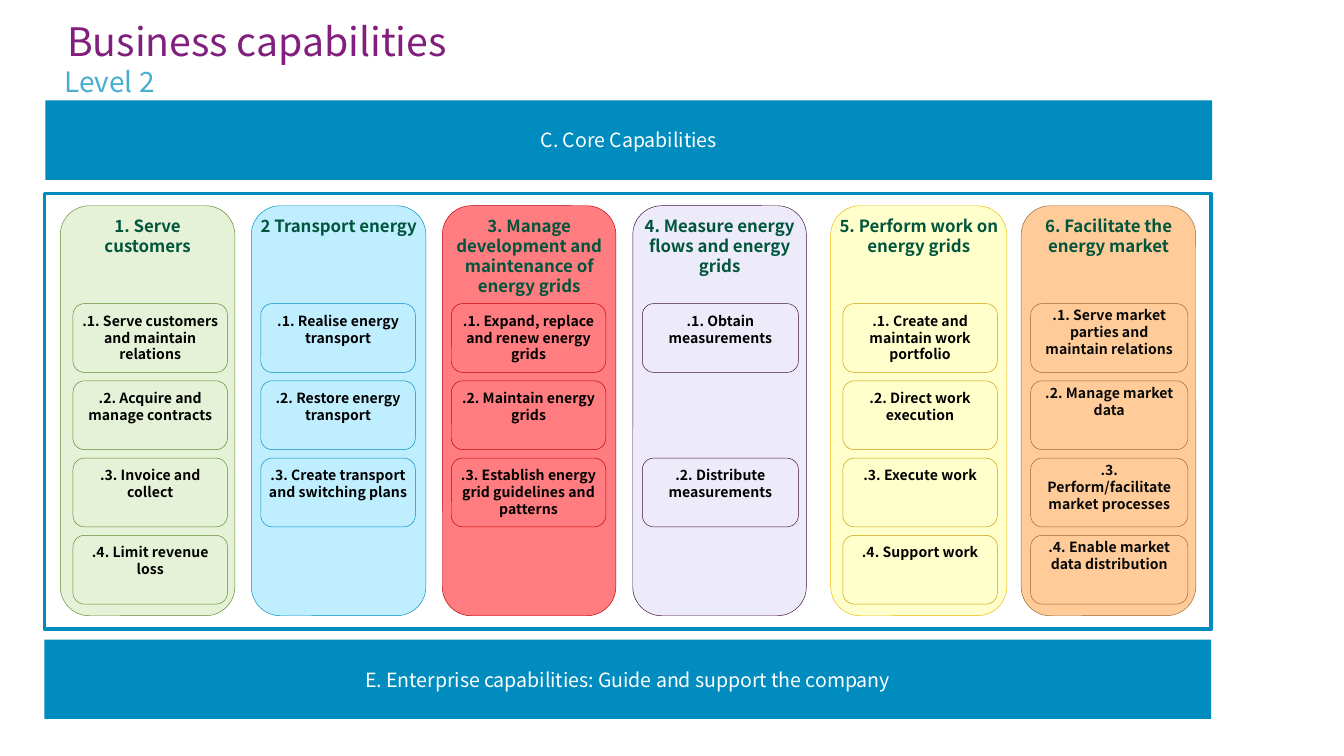
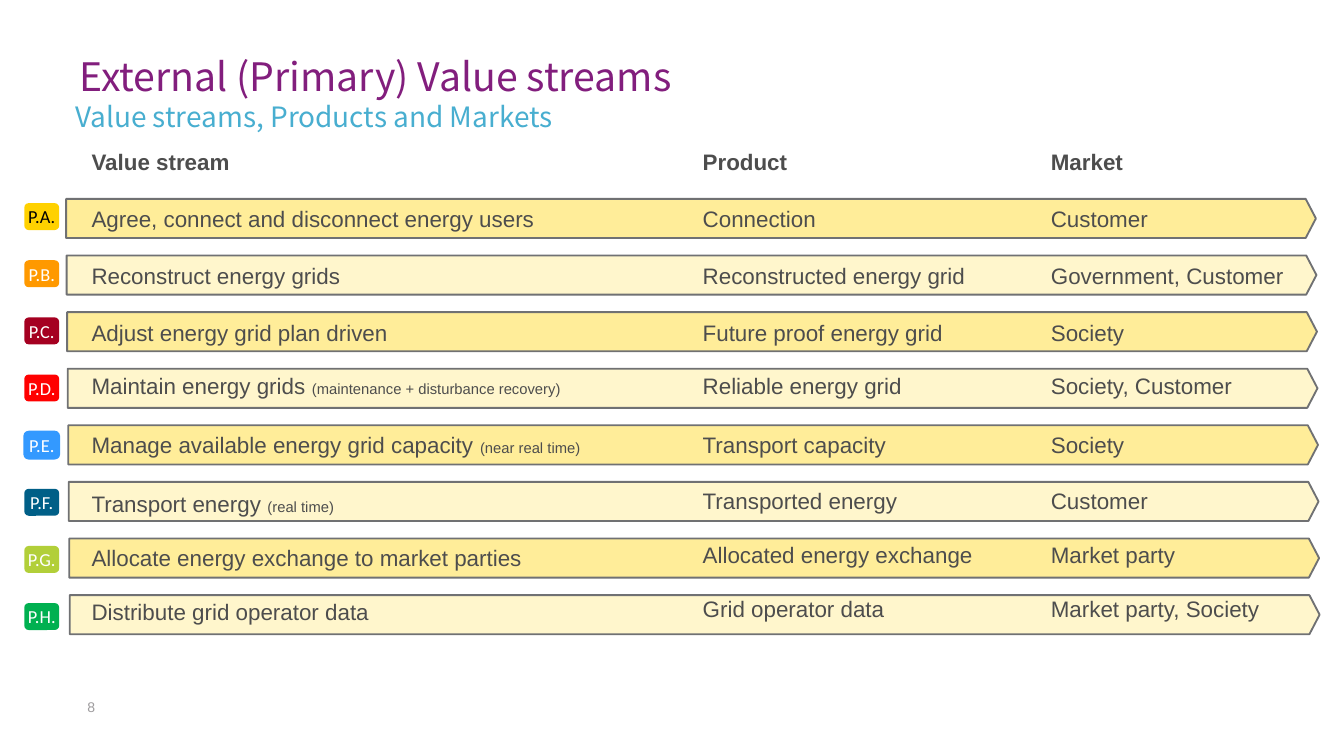
from lxml import etree
from pptx import Presentation
from pptx.dml.color import RGBColor
from pptx.enum import shapes as sh, text as tx
from pptx.oxml.ns import qn
from pptx.util import Cm, Pt

# Shared look
PURPLE = RGBColor(0x82, 0x1E, 0x7D)
SKY = RGBColor(0x48, 0xAE, 0xD0)
BLUE = RGBColor(0x00, 0x8C, 0xBE)
WHITE = RGBColor(0xFF, 0xFF, 0xFF)
BLACK = RGBColor(0, 0, 0)
SOFT_BLACK = RGBColor(0x08, 0x08, 0x08)
GREEN_TEXT = RGBColor(0x00, 0x55, 0x3C)
GREY_TEXT = RGBColor(0x4D, 0x4D, 0x4D)
GREY_LINE = RGBColor(0x70, 0x71, 0x73)
PAGE_GREY = RGBColor(0x9E, 0x9C, 0x9E)
LEAF, LEAF_LINE = RGBColor(0xE5, 0xF2, 0xD7), RGBColor(0x5E, 0x87, 0x2D)
ICE = RGBColor(0xBF, 0xEE, 0xFF)
CORAL, CORAL_LINE = RGBColor(0xFF, 0x7C, 0x80), RGBColor(0xC0, 0x00, 0x00)
LILAC, LILAC_LINE = RGBColor(0xED, 0xEB, 0xF9), RGBColor(0x41, 0x0F, 0x3E)
LEMON, LEMON_LINE = RGBColor(0xFF, 0xFF, 0xCC), RGBColor(0xF2, 0xB8, 0x00)
OCHRE = RGBColor(0xCC, 0x99, 0x00)
PEACH, PEACH_LINE = RGBColor(0xFF, 0xCC, 0x99), RGBColor(0x99, 0x66, 0x33)
STREAM_FILLS = RGBColor(0xFF, 0xED, 0x99), RGBColor(0xFF, 0xF6, 0xCC)

SANS, ARIAL = "Noto Sans CJK TC", "Arial"
TITLE = dict(name=SANS, size=Pt(21), bold=False, color=PURPLE)
SUBTITLE = dict(name=SANS, size=Pt(15), bold=False, color=SKY)
BAND = dict(name=SANS, size=Pt(10.5), color=WHITE)
HEADING = dict(name=SANS, size=Pt(9), bold=True, color=GREEN_TEXT)
CAPABILITY = dict(name=SANS, size=Pt(7.5), bold=True, color=BLACK)
BADGE = dict(name="Calibri", size=Pt(9.8), color=WHITE)
CELL = dict(name=ARIAL, size=Pt(12), bold=False, color=GREY_TEXT)
NOTE = {**CELL, "size": Pt(7.9)}
PAGE = dict(name=ARIAL, size=Pt(7.5), color=PAGE_GREY)

# Slide 1 content; first_side, side and top are text insets in cm
BANDS = [("C. Core Capabilities", 0.86, 1.9),
         ("E. Enterprise capabilities: Guide and support the company", 0.84, 12.09)]
CAPABILITIES = [
    dict(heading=["1. Serve", "customers"], left=1.14, width=3.3, box_left=1.38, box_width=2.92,
         fill=LEAF, line=LEAF_LINE, first_side=0, side=0.18,
         boxes=[".1. Serve customers and maintain relations", ".2. Acquire and manage contracts",
                ".3. Invoice and collect", ".4. Limit revenue loss"]),
    dict(heading=["2 Transport energy"], left=4.75, width=3.3, box_left=4.93, box_width=2.92,
         fill=ICE, line=BLUE,
         boxes=[".1. Realise energy transport", ".2. Restore energy transport",
                ".3. Create transport and switching plans"]),
    dict(heading=["3. Manage development and maintenance of energy grids"],
         left=8.36, width=3.28, box_left=8.53, box_width=2.92, fill=CORAL, line=CORAL_LINE,
         boxes=[".1. Expand, replace and renew energy grids", ".2. Maintain energy grids",
                ".3. Establish energy grid guidelines and patterns"]),
    dict(heading=["4. Measure energy flows and energy grids"],
         left=11.96, width=3.28, box_left=12.14, box_width=2.95, fill=LILAC, line=LILAC_LINE,
         boxes=[".1. Obtain measurements", None, ".2. Distribute measurements"]),
    dict(heading=["5. Perform work on", "energy grids"], left=15.7, width=3.33,
         box_left=15.93, box_width=2.92, fill=LEMON, line=LEMON_LINE, box_line=OCHRE,
         first_side=0.08, side=0.18, wrap=False,
         boxes=[".1. Create and maintain work portfolio", ".2. Direct work execution",
                ".3. Execute work", ".4. Support work"]),
    dict(heading=["6. Facilitate the energy market"], left=19.3, width=3.3,
         box_left=19.48, box_width=2.97, fill=PEACH, line=PEACH_LINE, box_fill=None,
         box_text=SOFT_BLACK, first_side=0.18, side=0.18, top=0,
         boxes=[".1. Serve market parties and maintain relations", ".2. Manage market data",
                ".3. Perform/facilitate market processes", ".4. Enable market data distribution"]),
]

# Slide 2 content: badge, badge colour, stream, note, product, market
STREAMS = [
    ("P.A.", RGBColor(0xFF, 0xD1, 0x00), "Agree, connect and disconnect energy users", "",
     "Connection", "Customer"),
    ("P.B.", RGBColor(0xFF, 0x99, 0x00), "Reconstruct energy grids", "",
     "Reconstructed energy grid", "Government, Customer"),
    ("P.C.", RGBColor(0xA5, 0x00, 0x21), "Adjust energy grid plan driven", "",
     "Future proof energy grid", "Society"),
    ("P.D.", RGBColor(0xFF, 0x00, 0x00), "Maintain energy grids ",
     "(maintenance + disturbance recovery)", "Reliable energy grid", "Society, Customer"),
    ("P.E.", RGBColor(0x33, 0x99, 0xFF), "Manage available energy grid capacity ",
     "(near real time)", "Transport capacity", "Society"),
    ("P.F.", RGBColor(0x00, 0x5F, 0x87), "Transport energy ", "(real time)",
     "Transported energy", "Customer"),
    ("P.G.", RGBColor(0xB2, 0xCF, 0x39), "Allocate energy exchange to market parties", "",
     "Allocated energy exchange", "Market party"),
    ("P.H.", RGBColor(0x00, 0xB0, 0x50), "Distribute grid operator data", "",
     "Grid operator data", "Market party, Society"),
]
# Points before and after each line, header first
SPACING = [(4.5, 4.5)] * 3 + [(4.5, 2)] * 2 + [(8, 4.5), (4, 4.5)] + [(3, 4.5)] * 2
STREAM_SPACING = SPACING[:5] + [(8, 2), (8, 4.5)] + SPACING[7:]


def write(shape, lines, style, insets=(0, 0, 0, 0), wrap=True,
          anchor=tx.MSO_ANCHOR.TOP, **paragraph_format):
    """Fill a shape; each line is a string or a list of (text, style) runs."""
    frame = shape.text_frame
    sides = ("margin_left", "margin_top", "margin_right", "margin_bottom")
    settings = dict(zip(sides, map(Cm, insets)), word_wrap=wrap, vertical_anchor=anchor,
                    auto_size=tx.MSO_AUTO_SIZE.NONE)
    for key, value in settings.items():
        setattr(frame, key, value)
    for i, line in enumerate(lines):
        paragraph = frame.add_paragraph() if i else frame.paragraphs[0]
        for key, value in paragraph_format.items():
            setattr(paragraph, key, value)
        for words, run_style in [(line, style)] if isinstance(line, str) else line:
            run = paragraph.add_run()
            run.text = words
            for key, value in run_style.items():
                if key == "color":
                    run.font.color.rgb = value
                else:
                    setattr(run.font, key, value)
    return frame


def place(slide, idx, left, top, width, height):
    """Move a placeholder and bring it to the front."""
    holder = slide.placeholders[idx]
    for key, value in dict(left=left, top=top, width=width, height=height).items():
        setattr(holder, key, Cm(value))
    slide.shapes.element.append(holder.element)
    return holder


def plain_list(frame):
    """Drop the bullets and hanging indents of a body placeholder."""
    for paragraph in frame.paragraphs:
        properties = paragraph._p.get_or_add_pPr()
        properties.set("marL", "0")
        properties.set("indent", "0")
        etree.SubElement(properties, qn("a:buNone"))


def add_titles(slide, title, title_box, subtitle, subtitle_box):
    layout = dict(alignment=tx.PP_ALIGN.LEFT, space_before=Pt(0))
    write(place(slide, 0, *title_box), [title], TITLE, line_spacing=Pt(28), **layout)
    plain_list(write(place(slide, 1, *subtitle_box), [subtitle], SUBTITLE,
                     line_spacing=1.2, **layout))


def add_block(slide, kind, left, top, width, height, fill=None, line=None, weight=0.25):
    block = slide.shapes.add_shape(kind, Cm(left), Cm(top), Cm(width), Cm(height))
    block.shadow.inherit = False
    if fill is None:
        block.fill.background()
    else:
        block.fill.solid()
        block.fill.fore_color.rgb = fill
    if line is None:
        block.line.fill.background()
    else:
        block.line.color.rgb = line
        block.line.width = Pt(weight)
    return block


RECT = sh.MSO_SHAPE.RECTANGLE
ROUND = sh.MSO_SHAPE.ROUNDED_RECTANGLE
CENTER = tx.PP_ALIGN.CENTER
MIDDLE = tx.MSO_ANCHOR.MIDDLE


def build_capabilities(deck):
    slide = deck.slides.add_slide(deck.slide_layouts[1])
    add_titles(slide, "Business capabilities", (1.27, 0.23, 18.49, 0.99),
               "Level 2", (1.22, 1.09, 19.18, 0.56))

    # Bands and the frame between them
    for label, left, top in BANDS:
        band = add_block(slide, RECT, left, top, 22.05, 1.5, BLUE)
        write(band, [label], BAND, (0.18, 0.1, 0.18, 0.1), anchor=MIDDLE, alignment=CENTER)
    add_block(slide, RECT, 0.84, 3.66, 22.05, 8.23, WHITE, BLUE, 2)

    # Capability columns with their boxes
    for group in CAPABILITIES:
        column = add_block(slide, ROUND, group["left"], 3.89, group["width"], 7.75,
                           group["fill"], group["line"])
        write(column, group["heading"], HEADING, (0, 0.02, 0, 0.1),
              wrap=group.get("wrap", True), alignment=CENTER)
        style = {**CAPABILITY, "color": group.get("box_text", BLACK)}
        for row, label in enumerate(group["boxes"]):
            if label is None:
                continue
            box = add_block(slide, ROUND, group["box_left"], 5.74 + 1.46 * row,
                            group["box_width"], 1.3, group.get("box_fill", group["fill"]),
                            group.get("box_line", group["line"]))
            side = group.get("side" if row else "first_side", 0)
            top = group.get("top", 0.1)
            write(box, [label], style, (side, top, side, top), alignment=CENTER)


def build_value_streams(deck):
    slide = deck.slides.add_slide(deck.slide_layouts[4])
    add_titles(slide, "External (Primary) Value streams", (1.5, 0.89, 18.49, 0.99),
               "Value streams, Products and Markets", (1.42, 1.75, 21.13, 0.61))

    # Arrow and badge of each stream
    for row, (code, colour, *_) in enumerate(STREAMS):
        arrow = add_block(slide, sh.MSO_SHAPE.PENTAGON, 1.25 + 0.01 * row, 3.76 + 1.07 * row,
                          23.62, 0.74, STREAM_FILLS[row % 2], GREY_LINE, 1)
        arrow.adjustments[0] = 0.26
        badge = add_block(slide, ROUND, 0.46, 3.84 + 1.08 * row, 0.66, 0.51, colour,
                          colour if code == "P.E." else None, 1)
        style = {**BADGE, "color": WHITE if row else BLACK}
        write(badge, [code], style, (0, 0.13, 0, 0.13), anchor=MIDDLE, alignment=CENTER)

    # Text columns over the arrows
    names = [[(stream, CELL)] + ([(note, NOTE)] if note else [])
             for _, _, stream, note, _, _ in STREAMS]
    columns = [
        (2, "Value stream", names, 1.73, 18.72, STREAM_SPACING),
        (3, "Product", [stream[4] for stream in STREAMS], 13.28, 8.97, SPACING),
        (4, "Market", [stream[5] for stream in STREAMS], 19.86, 5, SPACING),
    ]
    for idx, header, entries, left, width, spacing in columns:
        frame = write(place(slide, idx, left, 2.54, width, 9.47),
                      [[(header, {**CELL, "bold": True})], *entries], CELL,
                      line_spacing=1.5, alignment=tx.PP_ALIGN.LEFT)
        for paragraph, (before, after) in zip(frame.paragraphs, spacing):
            paragraph.space_before, paragraph.space_after = Pt(before), Pt(after)
        plain_list(frame)

    # Page number
    page = slide.shapes.add_textbox(Cm(1.65), Cm(13.21), Cm(0.99), Cm(0.61))
    write(page, ["8"], PAGE)


def main():
    deck = Presentation()
    deck.slide_width, deck.slide_height = Cm(25.4), Cm(14.29)
    build_capabilities(deck)
    build_value_streams(deck)
    deck.save("out.pptx")


if __name__ == "__main__":
    main()
